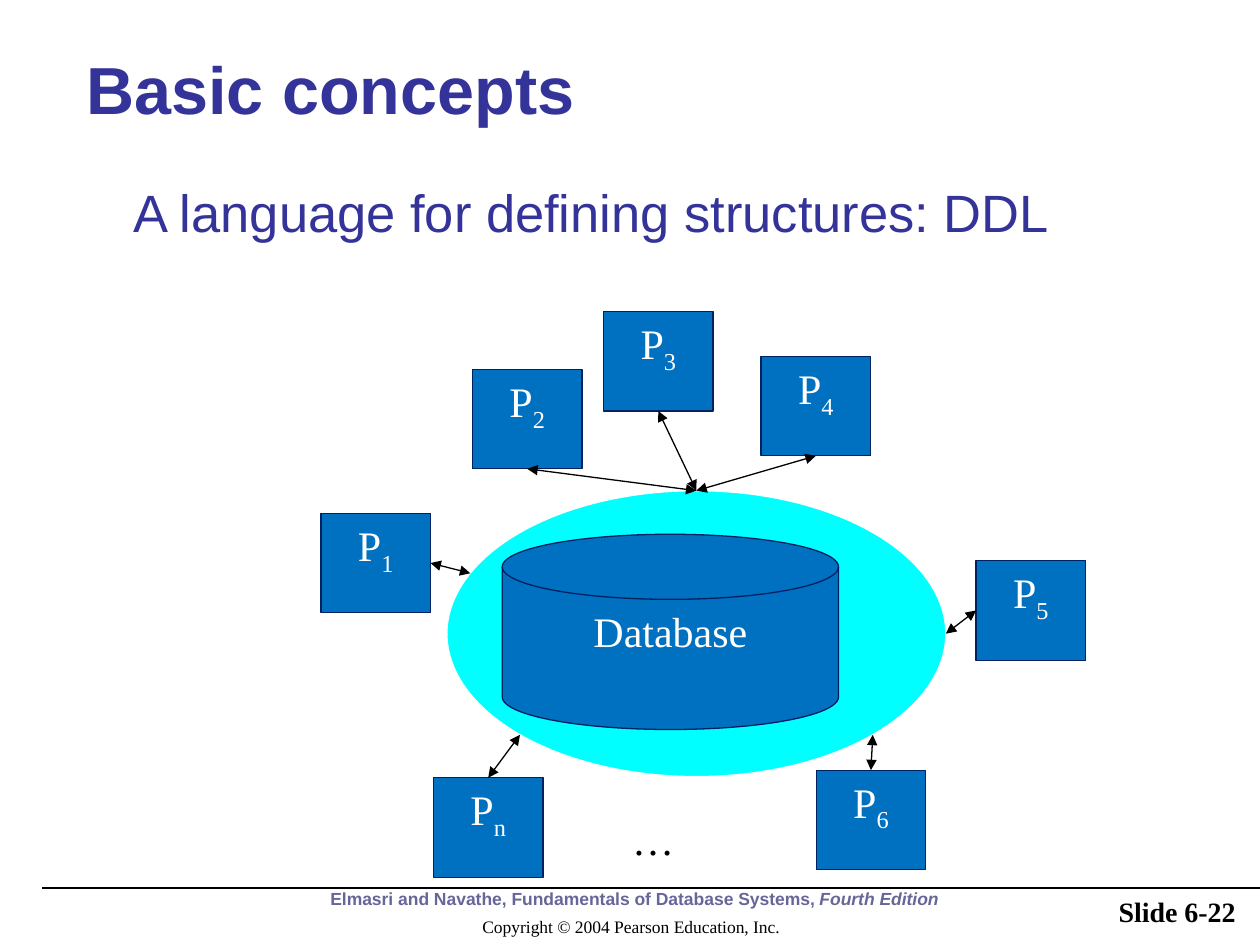
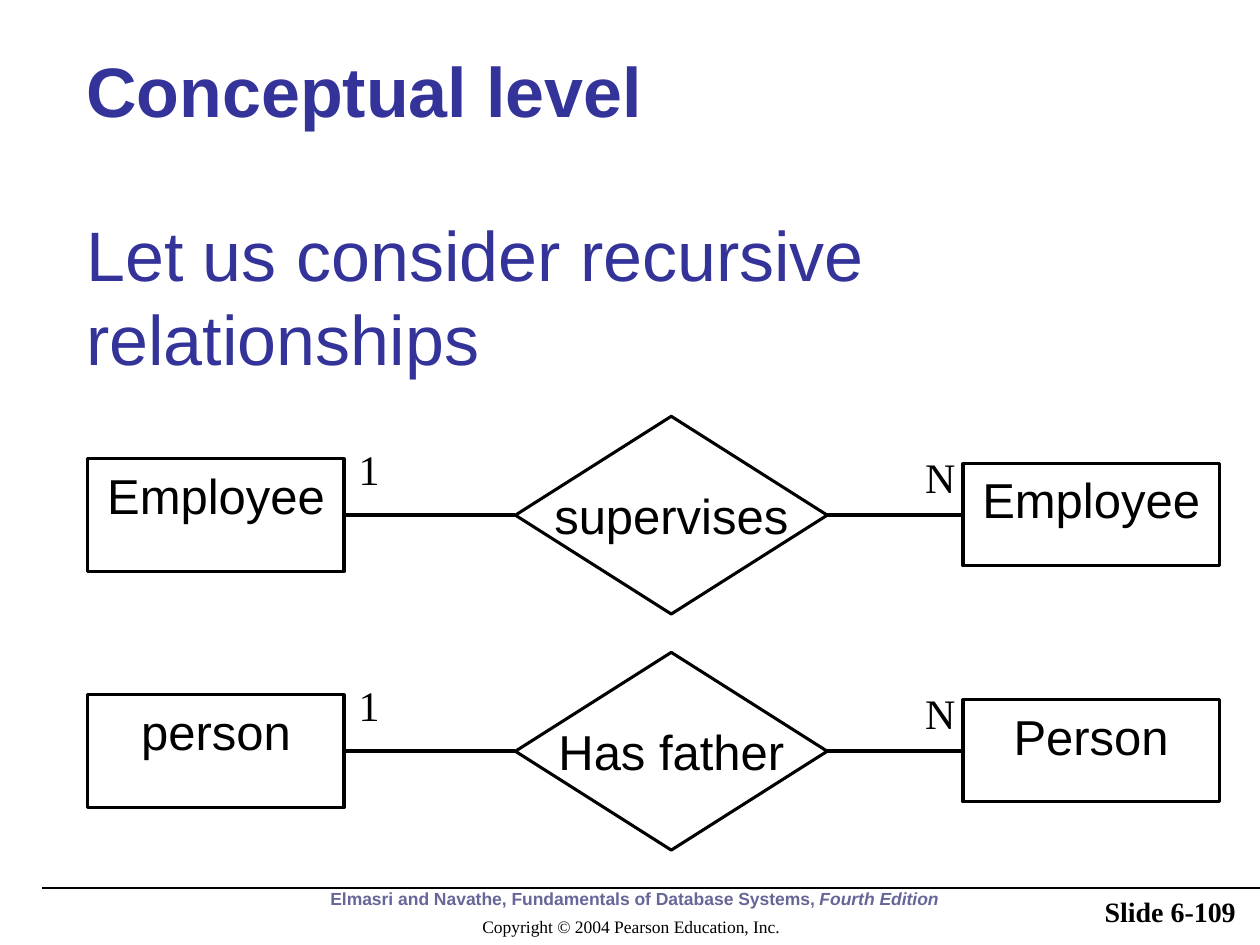
import math

import pptx
import pptx.dml.color
import pptx.enum.shapes
import pptx.enum.text
import pptx.oxml.ns
import pptx.util
from lxml import etree

Pt = pptx.util.Pt
RGB = pptx.dml.color.RGBColor
SHAPE = pptx.enum.shapes.MSO_SHAPE
ALIGN = pptx.enum.text.PP_ALIGN
ANCHOR = pptx.enum.text.MSO_ANCHOR
qn = pptx.oxml.ns.qn

# Shared colours and fonts
BLACK = RGB(0x00, 0x00, 0x00)
WHITE = RGB(0xFF, 0xFF, 0xFF)
INDIGO = RGB(0x33, 0x33, 0x99)
SLATE = RGB(0x66, 0x66, 0x99)
BLUE = RGB(0x00, 0x70, 0xC0)
NAVY = RGB(0x00, 0x20, 0x60)
CYAN = RGB(0x00, 0xFF, 0xFF)
SANS = "Arial"
SERIF = "Times New Roman"

# Basic concepts: programs around the database
PROGRAM_SIZE = (62.6, 56.9)
PROGRAMS = [  # subscript, left, top, side of the arrow, angle on the ellipse
    ("1", 183.4, 293.3, "right", 205),
    ("2", 270, 211, "bottom", 270),
    ("3", 344.9, 178, "bottom", 270),
    ("4", 434.9, 203.6, "bottom", 270),
    ("5", 557.8, 320.4, "left", 0),
    ("6", 466.4, 440.1, "top", 45),
    ("n", 247.7, 444.4, "top", 135),
]
SIDES = {"left": (0, 0.5), "right": (1, 0.5), "top": (0.5, 0), "bottom": (0.5, 1)}
SYSTEM = (255.4, 280.4, 285.1, 163.4)

# Conceptual level: one relationship per row
RELATIONSHIPS = [
    ("Employee", "supervises", "Employee"),
    ("person", "Has father", "Person"),
]
FIRST_AXIS, AXIS_STEP = 294.4, 134.9


def write(shape, text, size=24, font=SERIF, color=BLACK, bold=False,
          align=ALIGN.LEFT, anchor=ANCHOR.TOP, wrap=True):
    """Fill a shape with text: a string, or paragraphs made of (text, format) runs."""
    frame = shape.text_frame
    frame.word_wrap = wrap
    frame.auto_size = pptx.enum.text.MSO_AUTO_SIZE.NONE
    frame.vertical_anchor = anchor
    frame.margin_left = frame.margin_right = Pt(7.2)
    frame.margin_top = frame.margin_bottom = Pt(3.6)
    paragraphs = [[(text, {})]] if isinstance(text, str) else text
    for number, runs in enumerate(paragraphs):
        paragraph = frame.add_paragraph() if number else frame.paragraphs[0]
        paragraph.alignment = align
        for words, own in runs:
            run = paragraph.add_run()
            run.text = words
            run.font.name = own.get("font", font)
            run.font.size = Pt(own.get("size", size))
            run.font.bold = own.get("bold", bold)
            run.font.italic = own.get("italic", False)
            run.font.color.rgb = own.get("color", color)
            if own.get("subscript"):
                run._r.get_or_add_rPr().set("baseline", "-25000")


def add_text(slide, box, text, **style):
    write(slide.shapes.add_textbox(*map(Pt, box)), text, **style)


def add_figure(slide, kind, box, fill, outline, width=0.75, text=None, **style):
    figure = slide.shapes.add_shape(kind, *map(Pt, box))
    figure.shadow.inherit = False
    figure.fill.solid()
    figure.fill.fore_color.rgb = fill
    figure.line.color.rgb = outline
    figure.line.width = Pt(width)
    if text:
        write(figure, text, align=ALIGN.CENTER, wrap=False, **style)


def add_line(slide, start, end, width=0.75, arrows=False):
    line = slide.shapes.add_connector(
        pptx.enum.shapes.MSO_CONNECTOR.STRAIGHT, *map(Pt, (*start, *end)))
    line.line.color.rgb = BLACK
    line.line.width = Pt(width)
    if arrows:
        outline = line.line._get_or_add_ln()
        for tag in ("a:headEnd", "a:tailEnd"):
            etree.SubElement(outline, qn(tag), type="triangle")
    etree.SubElement(line._element.spPr, qn("a:effectLst"))


def add_footer(slide, number):
    add_text(slide, (64.1, 513, 596.9, 27), [
        [("Elmasri and Navathe, Fundamentals of Database Systems, ", {}),
         ("Fourth Edition", {"italic": True})],
        [("Copyright © 2004 Pearson Education, Inc.",
          {"font": SERIF, "color": BLACK, "bold": False}),
         (" ", {"size": 14})],
    ], size=10, font=SANS, color=SLATE, bold=True,
        align=ALIGN.CENTER, anchor=ANCHOR.BOTTOM)
    add_line(slide, (720, 507.4), (23.8, 507.4))
    add_text(slide, (580.8, 508.3, 132.5, 25.2), f"Slide {number}", size=16,
             bold=True, align=ALIGN.RIGHT, anchor=ANCHOR.MIDDLE)


def start_slide(deck, title, title_size, number):
    slide = deck.slides.add_slide(deck.slide_layouts[5])
    heading = slide.shapes.title
    heading.left, heading.top, heading.width, heading.height = map(
        Pt, (42.2, 23.8, 663.1, 82.1))
    write(heading, title, size=title_size, font=SANS, color=INDIGO, bold=True)
    add_footer(slide, number)
    return slide


def add_statement(slide, box, text, size):
    add_text(slide, box, text, size=size, font=SANS, color=INDIGO)


def ellipse_point(box, degrees):
    left, top, width, height = box
    angle = math.radians(degrees)
    return (left + width / 2 * (1 + math.cos(angle)),
            top + height / 2 * (1 + math.sin(angle)))


def add_program(slide, subscript, left, top, side, angle):
    width, height = PROGRAM_SIZE
    add_figure(slide, SHAPE.RECTANGLE, (left, top, width, height), BLUE, NAVY,
               text=[[("P", {}), (subscript, {"subscript": True})]], color=WHITE)
    across, down = SIDES[side]
    add_line(slide, (left + across * width, top + down * height),
             ellipse_point(SYSTEM, angle), arrows=True)


def add_relationship(slide, axis, first, verb, second):
    style = {"fill": WHITE, "outline": BLACK, "width": 1.75, "size": 28, "font": SANS}
    add_figure(slide, SHAPE.RECTANGLE, (50.2, axis - 32.2, 146.4, 64.4),
               text=first, **style)
    add_figure(slide, SHAPE.RECTANGLE, (550.3, axis - 29.4, 146.4, 58.3),
               text=second, **style)
    # The label sits on the axis, where the diamond is wide enough to hold it
    add_figure(slide, SHAPE.DIAMOND, (294.5, axis - 56.5, 178.2, 113),
               text=verb, anchor=ANCHOR.MIDDLE, **style)
    add_line(slide, (196.6, axis), (294.5, axis), width=2)
    add_line(slide, (472.7, axis), (550.3, axis), width=2)
    add_text(slide, (521.5, axis - 39.9, 32.4, 36), "N", wrap=False)
    add_text(slide, (197.8, axis - 44.6, 26.6, 36), "1", wrap=False)


def build_basic_concepts(deck):
    slide = start_slide(deck, "Basic concepts", 38, "6-22")
    add_statement(slide, (69.1, 99.4, 609.1, 61.2),
                  "A language for defining structures: DDL", 30)
    add_figure(slide, SHAPE.OVAL, SYSTEM, CYAN, WHITE)
    add_figure(slide, SHAPE.FLOWCHART_MAGNETIC_DISK, (287, 305.3, 192.2, 111.6),
               BLUE, NAVY, text="Database", color=WHITE)
    for program in PROGRAMS:
        add_program(slide, *program)
    add_text(slide, (310.2, 461.5, 126, 39.6), "…", align=ALIGN.CENTER)


def build_conceptual_level(deck):
    slide = start_slide(deck, "Conceptual level", 40, "6-109")
    add_statement(slide, (42.2, 117.4, 663.1, 121),
                  "Let us consider recursive relationships", 40)
    for row, relationship in enumerate(RELATIONSHIPS):
        add_relationship(slide, FIRST_AXIS + row * AXIS_STEP, *relationship)


def main():
    deck = pptx.Presentation()
    deck.slide_width, deck.slide_height = Pt(720), Pt(540)
    build_basic_concepts(deck)
    build_conceptual_level(deck)
    deck.save("out.pptx")


if __name__ == "__main__":
    main()
